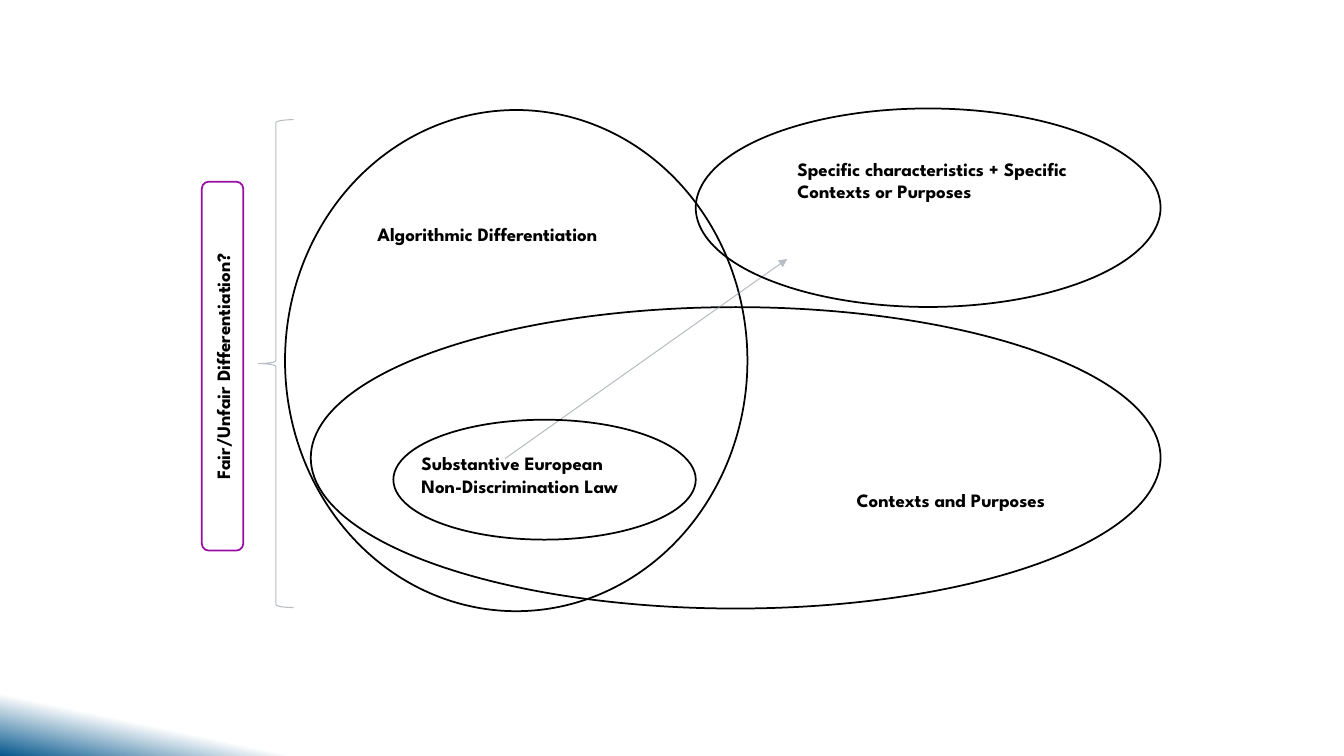
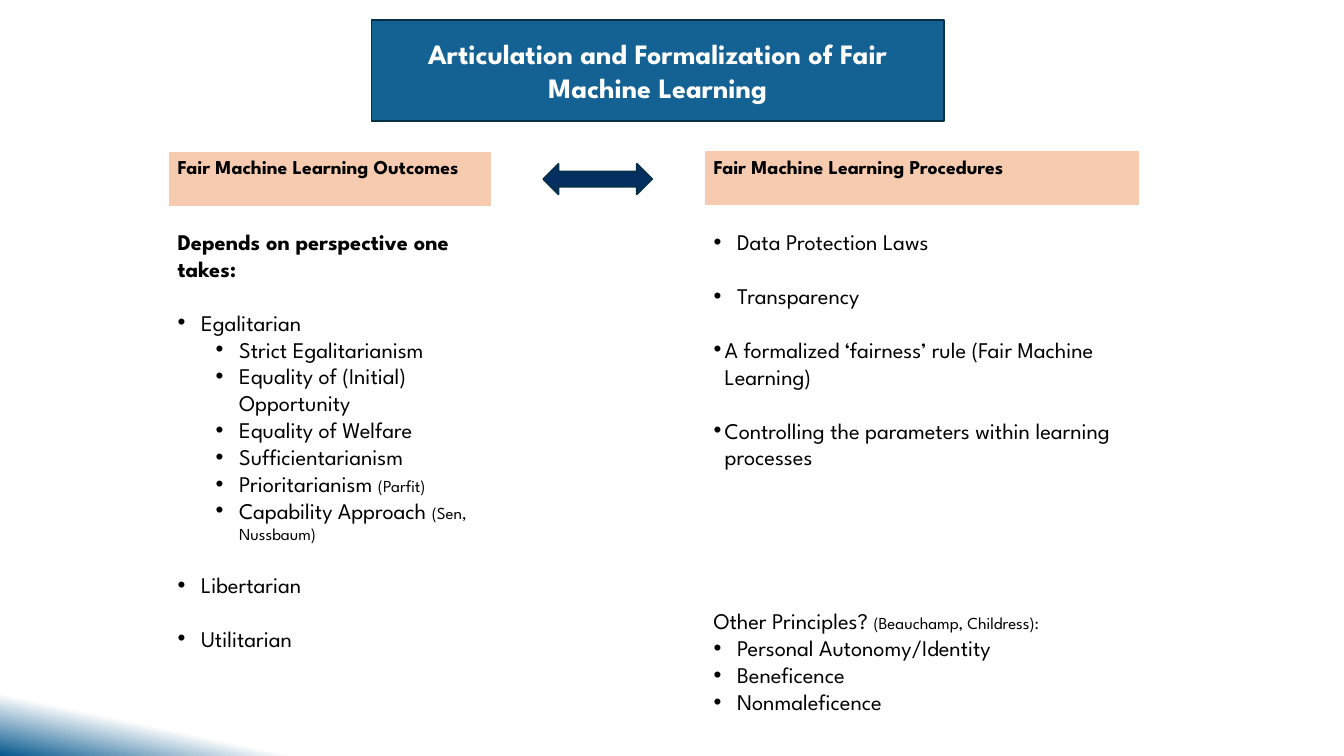
from lxml import etree
from pptx import Presentation
from pptx.dml.color import RGBColor
from pptx.enum import shapes as s, text as t
from pptx.oxml.ns import qn
from pptx.util import Pt

FONT = "League Spartan"
BLACK, WHITE, GREY = "000000", "FFFFFF", "89919C"
BLUE, NAVY, EDGE = "146194", "052F61", "043148"
PEACH, PURPLE, DEEP = "F6CBAF", "990EA5", "06588E"
LEFT, RIGHT = 119.8, 502.6
BODY_TOP = 159.4
GAP = 19.3
HANG = 16.8
# Bullet levels: (left margin, hanging indent)
TOP, SUB, TIGHT = (HANG, HANG), (43.9, HANG), (8, 8)
KIND = s.MSO_SHAPE


def color(code):
    return RGBColor.from_string(code)


def backdrop(prs):
    fill = prs.slide_master.background.fill
    fill.gradient()
    fill.gradient_angle = 258
    for stop, place, code in zip(fill.gradient_stops, (0.94, 1), (WHITE, DEEP)):
        stop.position = place
        stop.color.rgb = color(code)


def stroke(line, code, width, alpha=None):
    line.color.rgb = color(code)
    line.width = Pt(width)
    if alpha:
        tint = line.fill._xPr.find(".//" + qn("a:srgbClr"))
        etree.SubElement(tint, qn("a:alpha"), val=str(alpha * 1000))


def shape(slide, kind, box, line, width=1.25, fill=None, alpha=None):
    item = slide.shapes.add_shape(kind, *map(Pt, box))
    item.shadow.inherit = False
    if fill:
        item.fill.solid()
        item.fill.fore_color.rgb = color(fill)
    else:
        item.fill.background()
    stroke(item.line, line, width, alpha)
    return item


def style(para, size, code=BLACK, bold=False):
    font = para.font
    font.name, font.size, font.bold = FONT, Pt(size), bold
    font.color.rgb = color(code)


def write(item, words, size, code=BLACK, align=t.PP_ALIGN.LEFT,
          anchor=t.MSO_ANCHOR.TOP):
    """Put one bold paragraph in a shape or text box."""
    frame = item.text_frame
    frame.word_wrap = True
    frame.vertical_anchor = anchor
    para = frame.paragraphs[0]
    para.text = words
    para.alignment = align
    style(para, size, code, True)


def label(slide, box, words):
    write(slide.shapes.add_textbox(*map(Pt, box)), words, 13.5)


def arrow(slide, start, end):
    item = slide.shapes.add_connector(
        s.MSO_CONNECTOR.STRAIGHT, *map(Pt, start + end))
    stroke(item.line, GREY, 0.75, 60)
    etree.SubElement(item.line.fill._xPr, qn("a:tailEnd"), type="triangle")
    etree.SubElement(item._element.spPr, qn("a:effectLst"))


def bullet(para, level):
    margin, hang = level
    props = para._p.get_or_add_pPr()
    props.set("marL", str(Pt(margin)))
    props.set("indent", str(-Pt(hang)))
    etree.SubElement(props, qn("a:buFont"), typeface="Arial")
    etree.SubElement(props, qn("a:buChar"), char="•")


def panel(slide, box, fill=None):
    return shape(slide, KIND.RECTANGLE, box, WHITE, 2.25, fill)


def outline(slide, box, rows):
    """Fill a panel with rows of (text, level, note, space before)."""
    frame = panel(slide, box).text_frame
    frame.word_wrap = True
    frame.vertical_anchor = t.MSO_ANCHOR.TOP
    for i, (words, level, note, gap) in enumerate(rows):
        para = frame.add_paragraph() if i else frame.paragraphs[0]
        para.alignment = t.PP_ALIGN.LEFT
        if level:
            bullet(para, level)
        if gap:
            para.space_before = Pt(gap)
        style(para, 16, bold=not level and not note)
        para.add_run().text = words
        if note:
            run = para.add_run()
            run.text = note
            run.font.size = Pt(12)


def header(slide, box, words):
    write(panel(slide, box, PEACH), words, 14)


def oval(slide, box):
    shape(slide, KIND.OVAL, box, BLACK)


def circles(slide):
    oval(slide, (203.6, 78.6, 330.3, 358))
    label(slide, (262.5, 155.5, 193, 23.8), "Algorithmic Differentiation")
    oval(slide, (222, 219.4, 607, 215.3))
    label(slide, (604.8, 345.6, 157.7, 40.3), "Contexts and Purposes")
    label(slide, (294, 319.4, 168.5, 40.3),
          "Substantive European Non-Discrimination Law")
    arrow(slide, (360.7, 327.6), (562.3, 185))
    oval(slide, (497, 77.5, 332, 141.8))
    label(slide, (562.5, 108.7, 241.9, 40.3),
          "Specific characteristics + Specific Contexts or Purposes")
    shape(slide, KIND.LEFT_BRACE, (184.5, 85.5, 25.2, 348.5), GREY, 0.75,
          alpha=60)
    oval(slide, (281, 299.8, 216, 85.7))

    tag = shape(slide, KIND.ROUNDED_RECTANGLE, (144.2, 129.8, 29.6, 263.5),
                PURPLE)
    write(tag, "Fair/Unfair Differentiation?", 13.5,
          align=t.PP_ALIGN.CENTER, anchor=t.MSO_ANCHOR.MIDDLE)
    frame = tag.text_frame
    frame.margin_left = frame.margin_right = Pt(5)
    frame.margin_top = frame.margin_bottom = Pt(3)
    frame._txBody.bodyPr.set("vert", "vert270")


def columns(slide):
    header(slide, (LEFT, 107.4, 231.8, 41), "Fair Machine Learning Outcomes")
    header(slide, (RIGHT, 106.9, 311.8, 41), "Fair Machine Learning Procedures")
    title = shape(slide, KIND.RECTANGLE, (265.3, 14.4, 409, 72), EDGE, fill=BLUE)
    write(title, "Articulation and Formalization of Fair Machine Learning", 20,
          WHITE, t.PP_ALIGN.CENTER, t.MSO_ANCHOR.MIDDLE)

    outline(slide, (RIGHT, BODY_TOP, 311.8, 201), [
        ("Data Protection Laws", TOP, "", 0),
        ("Transparency", TOP, "", GAP),
        ("A formalized ‘fairness’ rule (Fair Machine Learning)", TIGHT, "", GAP),
        ("Controlling the parameters within learning processes", TIGHT, "", GAP),
    ])
    shape(slide, KIND.LEFT_RIGHT_ARROW, (388, 117, 77.8, 21.8), EDGE, fill=NAVY)
    outline(slide, (RIGHT, 430.4, 344.2, 85), [
        ("Other Principles? ", None, "(Beauchamp, Childress):", 0),
        ("Personal Autonomy/Identity", TOP, "", 0),
        ("Beneficence", TOP, "", 0),
        ("Nonmaleficence", TOP, "", 0),
    ])
    outline(slide, (LEFT, BODY_TOP, 231.8, 329), [
        ("Depends on perspective one takes:", None, "", 0),
        ("Egalitarian", TOP, "", GAP),
        ("Strict Egalitarianism", SUB, "", 0),
        ("Equality of (Initial) Opportunity", SUB, "", 0),
        ("Equality of Welfare", SUB, "", 0),
        ("Sufficientarianism", SUB, "", 0),
        ("Prioritarianism ", SUB, "(Parfit)", 0),
        ("Capability Approach ", SUB, "(Sen, Nussbaum)", 0),
        ("Libertarian", TOP, "", GAP),
        ("Utilitarian", TOP, "", GAP),
    ])


def main():
    prs = Presentation()
    prs.slide_width, prs.slide_height = Pt(960), Pt(540)
    backdrop(prs)
    for build in (circles, columns):
        build(prs.slides.add_slide(prs.slide_layouts[6]))
    prs.save("out.pptx")


if __name__ == "__main__":
    main()
